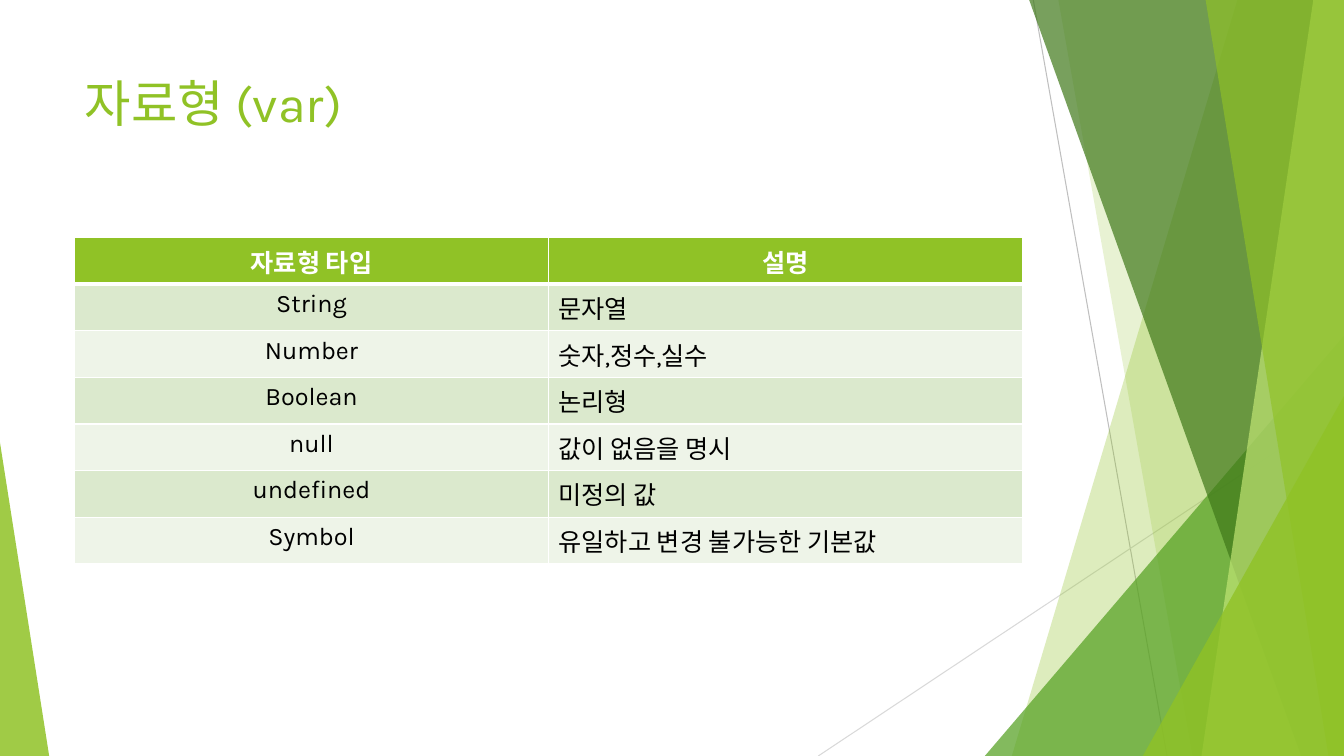
from lxml import etree
from pptx import Presentation
from pptx.dml.color import RGBColor
from pptx.enum.shapes import MSO_CONNECTOR, MSO_SHAPE
from pptx.enum.text import MSO_ANCHOR, MSO_AUTO_SIZE, PP_ALIGN
from pptx.oxml.ns import qn
from pptx.util import Cm, Pt

STRAIGHT = MSO_CONNECTOR.STRAIGHT
TRIANGLE = MSO_SHAPE.ISOSCELES_TRIANGLE
TOP = MSO_ANCHOR.TOP
NO_FIT = MSO_AUTO_SIZE.NONE
LEFT, CENTER = PP_ALIGN.LEFT, PP_ALIGN.CENTER

WIDTH, HEIGHT = 33.87, 19.05
BLEED = -0.02
MARGIN, CONTENT_WIDTH = 1.88, 23.88
ROW_HEIGHT = 1.03
GREEN, WHITE, BLACK = "90C226", "FFFFFF", "000000"
STRIPES = ("DBE9CD", "EEF4E8")

TITLE = "자료형 (var)"
TYPES = [
    ("자료형 타입", "설명"),
    ("String", "문자열"),
    ("Number", "숫자,정수,실수"),
    ("Boolean", "논리형"),
    ("null", "값이 없음을 명시"),
    ("undefined", "미정의 값"),
    ("Symbol", "유일하고 변경 불가능한 기본값"),
]


def color(value):
    """Turn a hex string into a colour."""
    return RGBColor.from_string(value)


class Painter:
    """Draws styled elements on the current slide."""

    def __init__(self, page, font):
        """Keep the slide and its typeface."""
        self.page = page
        self.shapes = page.shapes
        self.font = font

    def fill_text(self, frame, text, size, hue, align, bold=False):
        """Fill a text frame with one formatted paragraph."""
        frame.text = text
        para = frame.paragraphs[0]
        para.alignment = align
        for span in para.runs:
            span.font.name = self.font
            span.font.size = Pt(size)
            span.font.bold = bold
            span.font.color.rgb = color(hue)

    def title(self, text):
        """Place and format the title placeholder."""
        box = self.shapes.title
        box.left, box.top = Cm(MARGIN), Cm(1.7)
        box.width, box.height = Cm(CONTENT_WIDTH), Cm(3.66)
        box.text_frame.auto_size = NO_FIT
        box.text_frame.vertical_anchor = TOP
        self.fill_text(box.text_frame, text, 36, GREEN, LEFT)

    def line(self, start, end, hue):
        """Draw a thin straight line."""
        link = self.shapes.add_connector(STRAIGHT, *map(Cm, start + end))
        link.line.color.rgb = color(hue)
        link.line.width = Pt(0.75)
        etree.SubElement(link._element.spPr, qn("a:effectLst"))

    def tint(self, shape, hue, opacity):
        """Give a shape a translucent fill without outline or shadow."""
        shape.shadow.inherit = False
        shape.line.fill.background()
        shape.fill.solid()
        shape.fill.fore_color.rgb = color(hue)
        fill = shape._element.spPr.find(qn("a:solidFill"))
        etree.SubElement(fill[0], qn("a:alpha"), val=str(opacity * 1000))

    def band(self, upper, lower, hue, opacity):
        """Fill from a slanted edge to the right side of the slide."""
        builder = self.shapes.build_freeform(Cm(upper), Cm(BLEED))
        corners = [(WIDTH, BLEED), (WIDTH, HEIGHT), (lower, HEIGHT)]
        builder.add_line_segments([(Cm(x), Cm(y)) for x, y in corners])
        self.tint(builder.convert_to_shape(), hue, opacity)

    def triangle(self, left, top, right, apex, hue, opacity):
        """Draw a triangle that stands on the bottom of the slide."""
        shape = self.shapes.add_shape(
            TRIANGLE, Cm(left), Cm(top), Cm(right - left), Cm(HEIGHT - top))
        shape.adjustments[0] = apex
        self.tint(shape, hue, opacity)

    def borders(self, cell, top, bottom):
        """Set white cell borders with given top and bottom widths."""
        properties = cell._tc.get_or_add_tcPr()
        for side, width in (("L", 1), ("R", 1), ("T", top), ("B", bottom)):
            edge = etree.SubElement(
                properties, qn("a:ln" + side), w=str(Pt(width)))
            fill = etree.SubElement(edge, qn("a:solidFill"))
            etree.SubElement(fill, qn("a:srgbClr"), val=WHITE)

    def table(self, rows, top):
        """Build a striped table with a header row."""
        table = self.shapes.add_table(
            len(rows), len(rows[0]), Cm(MARGIN), Cm(top),
            Cm(CONTENT_WIDTH), Cm(ROW_HEIGHT * len(rows))).table
        for index, texts in enumerate(rows):
            header = index == 0
            fill = GREEN if header else STRIPES[(index - 1) % 2]
            for column, text in enumerate(texts):
                cell = table.cell(index, column)
                self.borders(cell, 3 if index == 1 else 1, 3 if header else 1)
                cell.fill.solid()
                cell.fill.fore_color.rgb = color(fill)
                align = CENTER if header or column == 0 else LEFT
                hue = WHITE if header else BLACK
                self.fill_text(cell.text_frame, text, 18, hue, align, header)


def main():
    """Build and save the deck."""
    deck = Presentation()
    deck.slide_width, deck.slide_height = Cm(WIDTH), Cm(HEIGHT)
    painter = Painter(deck.slides.add_slide(deck.slide_layouts[5]), "Karla")
    painter.line((26.04, 0), (29.41, HEIGHT), "BFBFBF")
    painter.line((WIDTH, 10.24), (20.62, HEIGHT), "D9D9D9")
    painter.band(31.19, 25.5, GREEN, 30)
    painter.band(26.67, 30.05, GREEN, 20)
    painter.triangle(24.82, 8.46, WIDTH, 1, "54A021", 72)
    painter.band(25.93, 32.79, "3F7819", 70)
    painter.band(33.1, 30.28, "C0E474", 70)
    painter.band(30.38, 33.48, GREEN, 65)
    painter.triangle(28.8, 9.98, WIDTH, 1, GREEN, 80)
    painter.triangle(0, 11.15, 1.24, 0, GREEN, 85)
    painter.title(TITLE)
    painter.table(TYPES, 5.99)
    deck.save("out.pptx")


if __name__ == "__main__":
    main()
